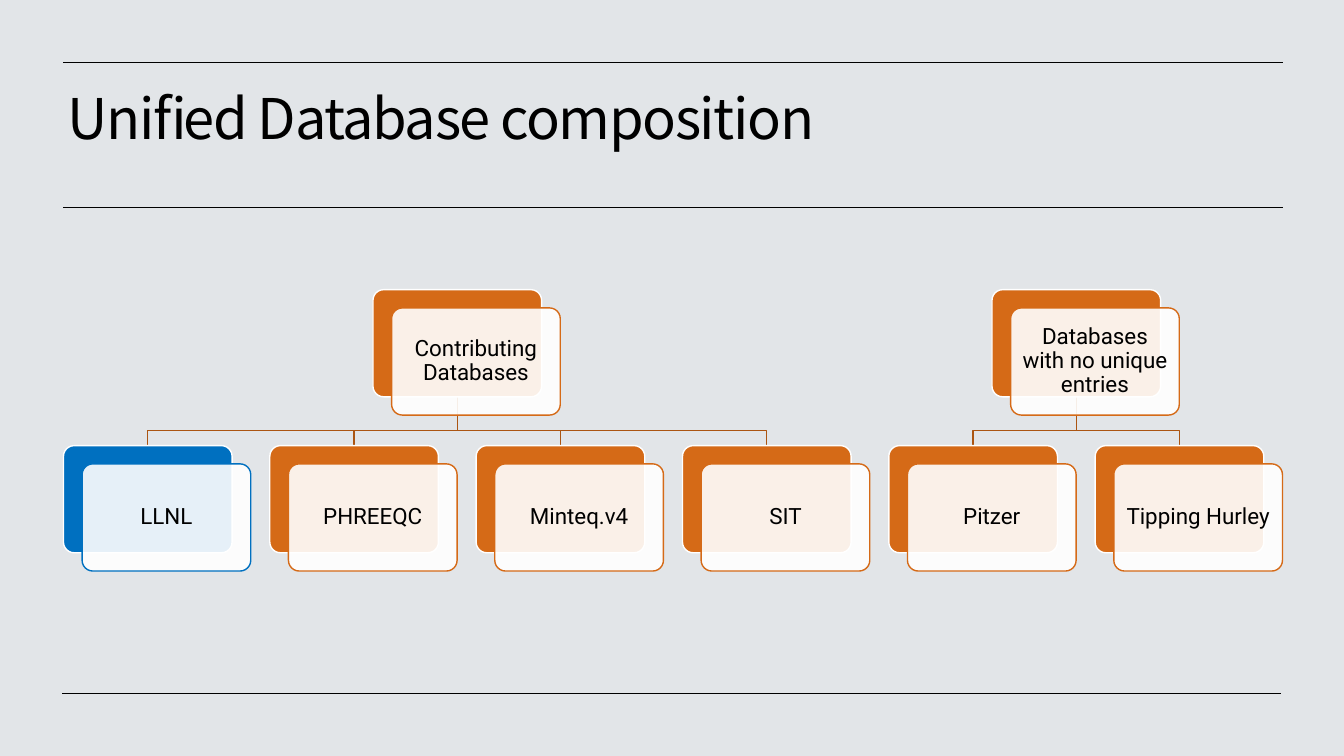
from dataclasses import dataclass

from lxml import etree
from pptx import Presentation
from pptx.dml.color import RGBColor
from pptx.enum import shapes, text
from pptx.oxml.ns import qn
from pptx.util import Cm, Pt

BACKGROUND = RGBColor(0xE2, 0xE5, 0xE8)
BLACK = RGBColor(0, 0, 0)
WHITE = RGBColor(0xFF, 0xFF, 0xFF)
ORANGE = RGBColor(0xD5, 0x6A, 0x17)
BLUE = RGBColor(0x00, 0x70, 0xC0)
BROWN = RGBColor(0xAB, 0x55, 0x12)

# Lengths in centimetres
LEFT, COLUMN_STEP = 1.6, 5.2
CARD_W, CARD_H = 4.25, 2.7
SHIFT_X, SHIFT_Y = 0.47, 0.46
PARENT_TOP, CHILD_TOP, BRANCH_Y = 7.3, 11.23, 10.85


@dataclass(frozen=True)
class Card:
    label: str
    column: float
    top: float = CHILD_TOP
    color: RGBColor = ORANGE

    @property
    def left(self) -> float:
        return LEFT + self.column * COLUMN_STEP

    @property
    def center(self) -> float:
        return self.left + CARD_W / 2


@dataclass(frozen=True)
class Family:
    parent: Card
    children: tuple[Card, ...]


@dataclass(frozen=True)
class Rule:
    left: float
    right: float
    y: float


FAMILIES = (
    Family(
        Card("Contributing Databases", 1.5, PARENT_TOP),
        (Card("LLNL", 0, color=BLUE), Card("PHREEQC", 1), Card("Minteq.v4", 2), Card("SIT", 3)),
    ),
    Family(
        Card("Databases with no unique entries", 4.5, PARENT_TOP),
        (Card("Pitzer", 4), Card("Tipping Hurley", 5)),
    ),
)
RULES = (Rule(1.6, 32.33, 1.58), Rule(1.6, 32.33, 5.23), Rule(1.57, 32.28, 17.46))


def add_rule(s, rule: Rule) -> None:
    line = s.shapes.add_connector(
        shapes.MSO_CONNECTOR.STRAIGHT, Cm(rule.left), Cm(rule.y), Cm(rule.right), Cm(rule.y)
    )
    line.line.color.rgb = BLACK
    line.line.width = Pt(0.5)
    etree.SubElement(line._element.spPr, qn("a:effectLst"))


def add_title(s, title: str) -> None:
    tf = s.shapes.add_textbox(Cm(1.45), Cm(2.18), Cm(30.86), Cm(2.92)).text_frame
    tf.word_wrap = True
    tf.text = title
    p = tf.paragraphs[0]
    p.line_spacing = 0.9
    r = p.runs[0]
    r.font.size = Pt(40)
    r.font.name = "Noto Sans CJK KR"
    r.font.color.rgb = BLACK
    r._r.get_or_add_rPr().set("spc", "-100")


def add_branch(s, parent: Card, child: Card) -> None:
    """Draw the stepped line from a parent down to one child."""
    builder = s.shapes.build_freeform(Cm(parent.center), Cm(PARENT_TOP + CARD_H))
    corners = ((parent.center, BRANCH_Y), (child.center, BRANCH_Y), (child.center, CHILD_TOP))
    builder.add_line_segments([(Cm(x), Cm(y)) for x, y in corners], close=False)
    sp = builder.convert_to_shape()
    sp.fill.background()
    sp.line.color.rgb = BROWN
    sp.line.width = Pt(1)
    sp.shadow.inherit = False


def add_panel(s, left: float, top: float, fill: RGBColor, line: RGBColor):
    """Add one of the two rounded rectangles that make up a card."""
    sp = s.shapes.add_shape(
        shapes.MSO_SHAPE.ROUNDED_RECTANGLE, Cm(left), Cm(top), Cm(CARD_W), Cm(CARD_H)
    )
    sp.adjustments[0] = 0.1
    sp.fill.solid()
    sp.fill.fore_color.rgb = fill
    sp.line.color.rgb = line
    sp.line.width = Pt(1)
    sp.shadow.inherit = False
    return sp


def add_card(s, card: Card) -> None:
    add_panel(s, card.left, card.top, card.color, WHITE)
    front = add_panel(s, card.left + SHIFT_X, card.top + SHIFT_Y, WHITE, card.color)
    color = front._element.spPr.find(qn("a:solidFill"))[0]
    etree.SubElement(color, qn("a:alpha"), val="90000")

    tf = front.text_frame
    tf.word_wrap = True
    tf.vertical_anchor = text.MSO_ANCHOR.MIDDLE
    tf.margin_left = tf.margin_right = tf.margin_top = tf.margin_bottom = Cm(0.17)
    tf.text = card.label
    p = tf.paragraphs[0]
    p.alignment = text.PP_ALIGN.CENTER
    p.line_spacing = 0.9
    r = p.runs[0]
    r.font.size = Pt(16)
    r.font.name = "Roboto"
    r.font.color.rgb = BLACK


def main() -> None:
    prs = Presentation()
    prs.slide_width, prs.slide_height = Cm(33.87), Cm(19.05)
    s = prs.slides.add_slide(prs.slide_layouts[6])
    s.background.fill.solid()
    s.background.fill.fore_color.rgb = BACKGROUND

    for rule in RULES:
        add_rule(s, rule)
    add_title(s, "Unified Database composition")
    for family in FAMILIES:
        for child in family.children:
            add_branch(s, family.parent, child)
    for family in FAMILIES:
        for card in (family.parent, *family.children):
            add_card(s, card)
    prs.save("out.pptx")


if __name__ == "__main__":
    main()
